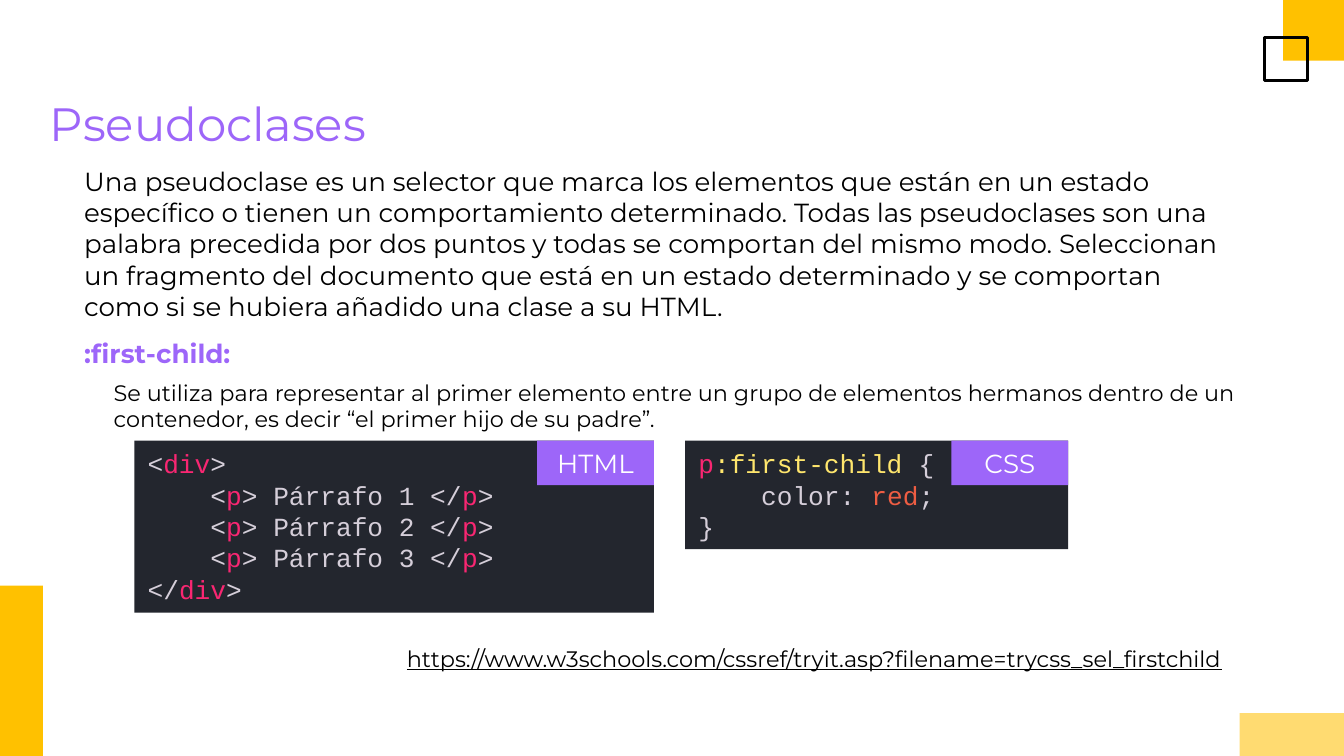
from pptx import Presentation
from pptx import util as u
from pptx.dml import color
from pptx.enum import shapes, text

Cm = u.Cm
PAGE = (0, 0, 25.4, 14.29)
SANS, MONO = "Montserrat", "Courier New"
INK = {
    "black": "000000", "white": "FFFFFF", "gold": "FFC100", "pale": "FFDB71",
    "violet": "9D66F9", "dark": "23262E", "plain": "D5CED9", "pink": "F92672",
    "lemon": "FFE66D", "coral": "EE5D43",
}


def rgb(name):
    return color.RGBColor.from_string(INK[name])


def add_rect(slide, box, fill=None, line=None):
    rect = slide.shapes.add_shape(shapes.MSO_SHAPE.RECTANGLE, *map(Cm, box))
    rect.shadow.inherit = False
    if fill:
        rect.fill.solid()
        rect.fill.fore_color.rgb = rgb(fill)
    else:
        rect.fill.background()
    if line:
        rect.line.color.rgb = rgb(line)
        rect.line.width = u.Pt(1.5)
    else:
        rect.line.fill.background()
    return rect


def set_frame(frame, pad, anchor):
    frame.word_wrap = True
    frame.vertical_anchor = anchor
    frame.margin_left = frame.margin_right = Cm(0.25)
    frame.margin_top = frame.margin_bottom = Cm(pad)


def add_run(para, words, ink, size, face=SANS, bold=None, under=None):
    run = para.add_run()
    run.text = words
    font = run.font
    font.name, font.size, font.bold, font.underline = face, u.Pt(size), bold, under
    font.color.rgb = rgb(ink)


def add_text(slide, box, words, ink, size, indent=0, after=6, **style):
    frame = slide.shapes.add_textbox(*map(Cm, box)).text_frame
    set_frame(frame, 0.25, text.MSO_ANCHOR.TOP)
    para = frame.paragraphs[0]
    para.space_after = u.Pt(after)
    if indent:
        props = para._p.get_or_add_pPr()
        props.set("marL", str(Cm(indent)))
        props.set("indent", "0")
    add_run(para, words, ink, size, **style)


def add_decor(slide, box):
    """Colour blocks at the page corners."""
    x, y, w, h = box
    right, base = x + w, y + h
    add_rect(slide, (right - 1.15, y, 1.15, 1.15), "gold")
    add_rect(slide, (x, base - 3.22, 0.81, 3.22), "gold")
    add_rect(slide, (right - 1.5, y + 0.71, 0.81, 0.81), line="black")
    add_rect(slide, (right - 1.97, base - 0.81, 1.97, 0.81), "pale")


def add_intro(slide, box):
    """Title and the definition below it."""
    x, y, w, h = box
    add_text(slide, (x, y, w, 1.6), "Pseudoclases", "violet", 25, after=0)
    add_text(
        slide, (x + 0.35, y + 1.32, w - 1.39, h - 1.32),
        "Una pseudoclase es un selector que marca los elementos que están en un "
        "estado específico o tienen un comportamiento determinado. Todas las "
        "pseudoclases son una palabra precedida por dos puntos y todas se "
        "comportan del mismo modo. Seleccionan un fragmento del documento que "
        "está en un estado determinado y se comportan como si se hubiera añadido "
        "una clase a su HTML.", "black", 14, indent=0.3)


def add_topic(slide, box):
    """Name of the pseudo-class and its use."""
    x, y, w, h = box
    add_text(slide, (x, y, w, 0.99), ":first-child:", "violet", 14,
             indent=0.3, bold=True)
    add_text(
        slide, (x + 0.86, y + 0.79, w - 0.86, h - 0.79),
        "Se utiliza para representar al primer elemento entre un grupo de "
        "elementos hermanos dentro de un contenedor, es decir “el primer hijo "
        "de su padre”.", "black", 12)


def add_code(slide, box, label, lines):
    """Dark code panel with a label in its top right corner."""
    x, y, w, h = box
    frame = add_rect(slide, box, "dark").text_frame
    set_frame(frame, 0.13, text.MSO_ANCHOR.TOP)
    for i, line in enumerate(lines):
        para = frame.add_paragraph() if i else frame.paragraphs[0]
        para.alignment = text.PP_ALIGN.LEFT
        for words, ink in line:
            add_run(para, words, ink, 14, MONO)

    tab = add_rect(slide, (x + w - 2.21, y, 2.21, 0.84), "violet").text_frame
    set_frame(tab, 0.25, text.MSO_ANCHOR.MIDDLE)
    tab.paragraphs[0].alignment = text.PP_ALIGN.CENTER
    add_run(tab.paragraphs[0], label, "white", 14)


def make_tag(name, start="<", end=">"):
    return [(start, "plain"), (name, "pink"), (end, "plain")]


def main():
    deck = Presentation()
    deck.slide_width, deck.slide_height = map(Cm, PAGE[2:])
    slide = deck.slides.add_slide(deck.slide_layouts[6])

    items = [make_tag("p", "    <", f"> Párrafo {n} ") + make_tag("p", "</")
             for n in (1, 2, 3)]
    html = [make_tag("div"), *items, make_tag("div", "</")]
    css = [
        [("p", "pink"), (":first-child", "lemon"), (" {", "plain")],
        [("    color: ", "plain"), ("red", "coral"), (";", "plain")],
        [("}", "plain")],
    ]

    add_decor(slide, PAGE)
    add_intro(slide, (0.69, 1.55, 24.05, 4.93))
    add_topic(slide, (1.04, 6.12, 23.67, 2.21))
    add_code(slide, (2.54, 8.33, 9.82, 3.25), "HTML", html)
    add_code(slide, (12.95, 8.33, 7.24, 2.05), "CSS", css)
    add_text(slide, (7.44, 11.94, 16.74, 1.27),
             "https://www.w3schools.com/cssref/tryit.asp?filename=trycss_sel_firstchild",
             "black", 12, under=True)
    deck.save("out.pptx")


if __name__ == "__main__":
    main()
